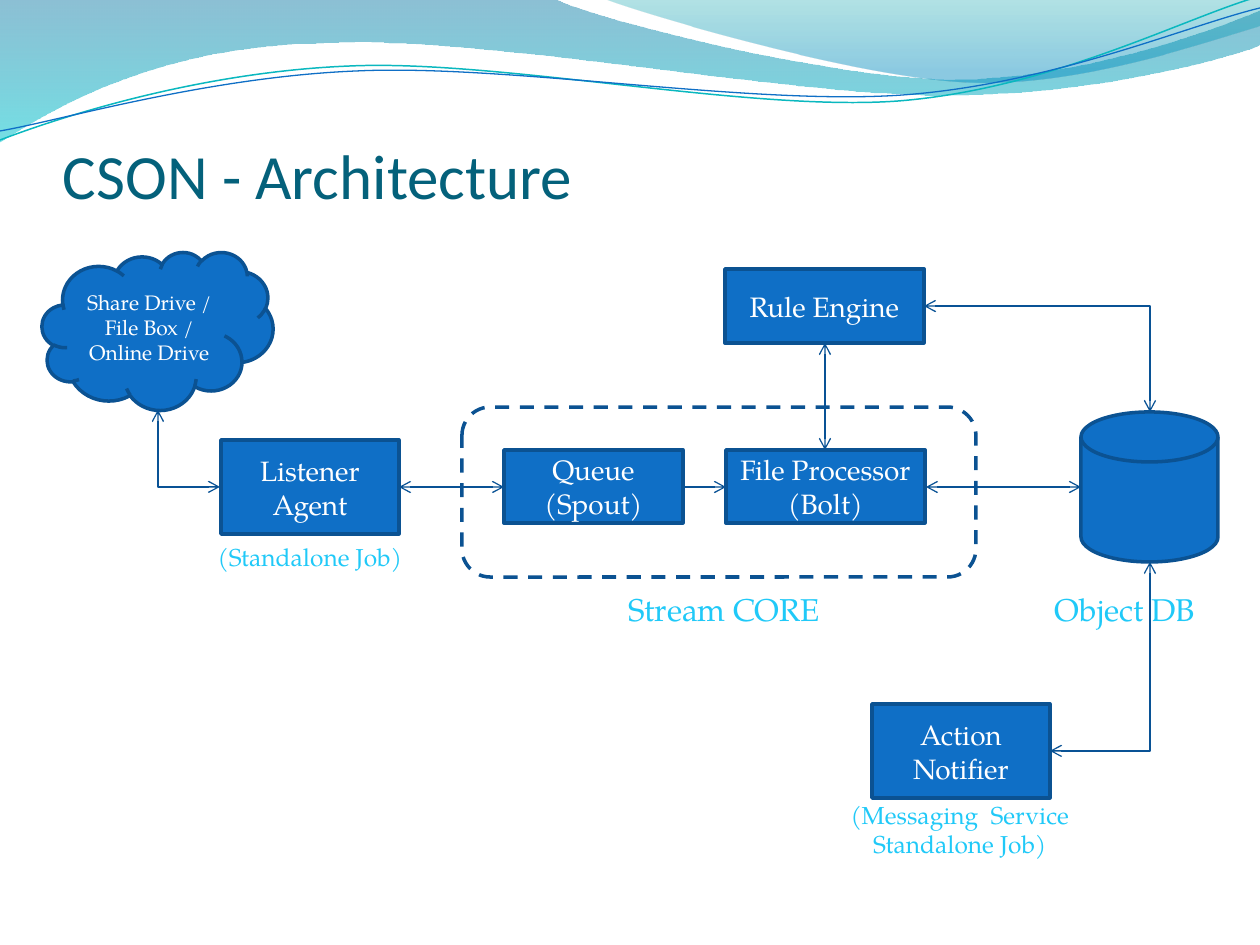
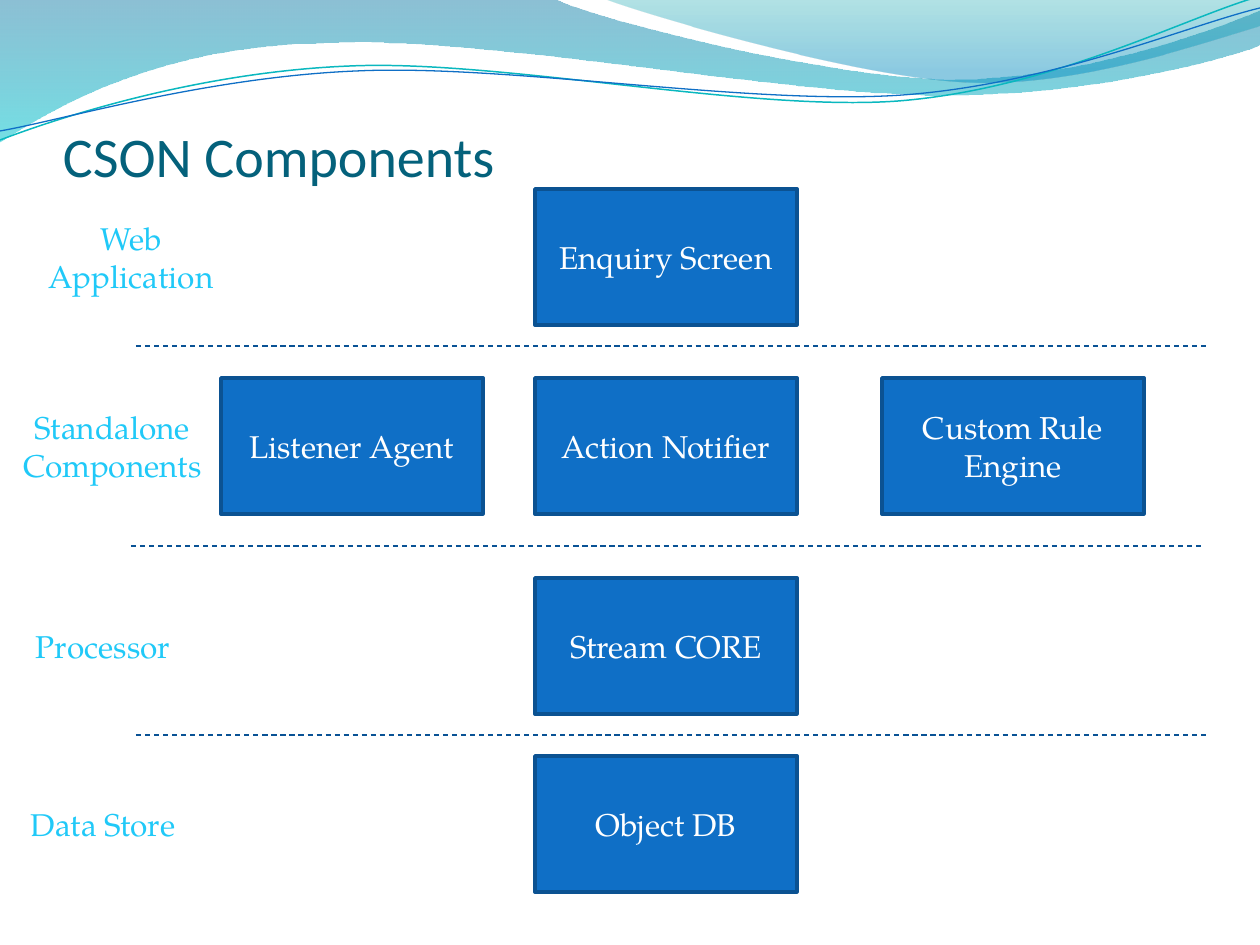
import lxml.etree
import pptx
import pptx.dml.color
import pptx.enum.dml
import pptx.enum.shapes
import pptx.enum.text
import pptx.oxml.ns
import pptx.util

# Shared scale, colours and fonts
EMU_PER_PX = 914400 / 126
SLIDE_W, SLIDE_H = 1260, 945
COLORS = {
    "fill": "0F6FC6", "edge": "0B5292", "link": "095295",
    "title": "04617B", "label": "20C9F8", "white": "FFFFFF",
    "deep": "0074A1", "aqua": "00C6CF", "teal": "00A1A9",
    "sky": "008BBF", "curve": "0AB8BF",
}
TITLE_FONT, BODY_FONT = "Calibri", "TeX Gyre Pagella"
SHAPE = pptx.enum.shapes.MSO_SHAPE
CONNECTOR = pptx.enum.shapes.MSO_CONNECTOR
ANCHOR = pptx.enum.text.MSO_ANCHOR
ALIGN = pptx.enum.text.PP_ALIGN
DASH = pptx.enum.dml.MSO_LINE.DASH
qn = pptx.oxml.ns.qn

# Header waves: a start point, then lines (1 point) and Bezier curves (3 points)
WAVE_BANDS = [
    ([[(0, 0)], [(554, -1)],
      [(600, 21), (837, 79), (955, 79)], [(1075, 79), (1207, 33), (1260, 11)],
      [(1261, 45)],
      [(1239, 55), (1096, 96), (940, 95)], [(781, 95), (481, 35), (324, 43)],
      [(163, 45), (58, 105), (-1, 142)], [(0, 0)]],
     [(0, "deep", 45), (1, "aqua", 55)]),
    ([[(604, -1)],
      [(641, 14), (859, 78), (969, 82)], [(1079, 87), (1211, 40), (1260, 26)],
      [(1260, 0)], [(604, -1)]],
     [(0, "teal", 30), (0.8, "sky", 45)]),
]
WAVE_LINES = [
    ([[(0, 140)],
      [(60, 117), (199, 72), (349, 66)], [(498, 59), (747, 112), (898, 101)],
      [(1050, 89), (1182, 19), (1257, -3)]], "curve", 0.85),
    ([[(0, 131)],
      [(59, 121), (207, 77), (357, 71)], [(508, 64), (752, 106), (903, 95)],
      [(1053, 84), (1186, 26), (1260, 8)]], "fill", 0.75),
]


def px(n):
    return pptx.util.Emu(round(n * EMU_PER_PX))


def rgb(name):
    return pptx.dml.color.RGBColor.from_string(COLORS[name])


def set_attrs(obj, values):
    for name, value in values.items():
        setattr(obj, name, value)


def set_line(line, color, width, dash=None):
    line.color.rgb = rgb(color)
    set_attrs(line, {"width": pptx.util.Pt(width), "dash_style": dash})


def write(sp, text, size, color, font=BODY_FONT, align=ALIGN.CENTER, **frame):
    """Fill a shape with text, one paragraph per line."""
    tf = sp.text_frame
    set_attrs(tf, {"word_wrap": True, "vertical_anchor": ANCHOR.MIDDLE, **frame})
    for i, line in enumerate(text.split("\n")):
        p = tf.add_paragraph() if i else tf.paragraphs[0]
        p.alignment = align
        r = p.add_run()
        r.text = line
        set_attrs(r.font, {"name": font, "size": pptx.util.Pt(size)})
        r.font.color.rgb = rgb(color)


def add_label(s, x, y, w, h, text, size=18, color="label", **style):
    sp = s.shapes.add_textbox(px(x), px(y), px(w), px(h))
    write(sp, text, size, color, **style)


def add_title(s, y, h, text, size):
    add_label(s, 63, y, 1134, h, text, size, "title", font=TITLE_FONT,
              align=ALIGN.LEFT, vertical_anchor=ANCHOR.BOTTOM,
              margin_left=0, margin_right=0, margin_bottom=0)


def add_node(s, x, y, w, h, text="", size=16, kind=SHAPE.RECTANGLE):
    sp = s.shapes.add_shape(kind, px(x), px(y), px(w), px(h))
    sp.shadow.inherit = False
    sp.fill.solid()
    sp.fill.fore_color.rgb = rgb("fill")
    set_line(sp.line, "edge", 2)
    if text:
        write(sp, text, size, "white")
    return sp


def add_link(s, start, end, heads=("headEnd", "tailEnd"), bent=False, dash=None):
    """Join two points; a bent link runs across first, then up or down."""
    kind = CONNECTOR.ELBOW if bent else CONNECTOR.STRAIGHT
    c = s.shapes.add_connector(kind, *map(px, start + end))
    set_line(c.line, "link", 0.75, dash)
    props = c._element.spPr
    if bent:
        props.find(qn("a:prstGeom")).set("prst", "bentConnector2")
    for head in heads:
        lxml.etree.SubElement(props.find(qn("a:ln")), qn("a:" + head), type="arrow")
    lxml.etree.SubElement(props, qn("a:effectLst"))


def add_outline(s, segments, close):
    """Draw a freeform, merging each run of three points into one curve."""
    points = [(px(x), px(y)) for seg in segments for x, y in seg]
    fb = s.shapes.build_freeform(*points[0])
    fb.add_line_segments(points[1:], close=close)
    sp = fb.convert_to_shape()
    sp.shadow.inherit = False
    steps = iter(list(sp._element.spPr.iter(qn("a:lnTo"))))
    for seg in segments[1:]:
        first, *rest = [next(steps) for _ in seg]
        if rest:
            curve = lxml.etree.Element(qn("a:cubicBezTo"))
            first.addprevious(curve)
            for step in (first, *rest):
                curve.append(step[0])
                step.getparent().remove(step)
    return sp


def add_waves(s):
    for segments, stops in WAVE_BANDS:
        sp = add_outline(s, segments, True)
        sp.line.fill.background()
        sp.fill.gradient()
        sp.fill.gradient_angle = 270
        for stop, (position, color, _) in zip(sp.fill.gradient_stops, stops):
            stop.position = position
            stop.color.rgb = rgb(color)
        colors = sp._element.spPr.iter(qn("a:srgbClr"))
        for clr, (_, _, opacity) in zip(list(colors), stops):
            lxml.etree.SubElement(clr, qn("a:alpha"), val=str(opacity * 1000))
    for segments, color, width in WAVE_LINES:
        sp = add_outline(s, segments, False)
        sp.fill.background()
        set_line(sp.line, color, width)


def add_slide(prs):
    s = prs.slides.add_slide(prs.slide_layouts[6])
    add_waves(s)
    return s


def build_architecture(prs):
    s = add_slide(prs)
    add_title(s, 115, 97, "CSON - Architecture", 36)

    # Nodes
    add_node(s, 42, 252, 231, 158, "Share Drive / File Box / Online Drive", 12, SHAPE.CLOUD)
    add_node(s, 221, 440, 178, 94, "Listener Agent")
    add_node(s, 504, 450, 179, 73, "Queue\n(Spout)")
    add_node(s, 726, 450, 199, 73, "File Processor\n(Bolt)")
    add_node(s, 725, 269, 199, 74, "Rule Engine")
    add_node(s, 872, 704, 178, 94, "Action Notifier")
    add_node(s, 1081, 412, 137, 150, kind=SHAPE.FLOWCHART_MAGNETIC_DISK)

    # Stream cluster frame
    frame = add_node(s, 462, 407, 514, 170, kind=SHAPE.ROUNDED_RECTANGLE)
    frame.fill.background()
    frame.line.dash_style = DASH

    # Captions
    add_label(s, 577, 577, 294, 63, "Stream CORE")
    add_label(s, 1020, 577, 210, 63, "Object DB")
    add_label(s, 179, 525, 262, 63, "(Standalone Job)", 14)
    add_label(s, 833, 798, 254, 63, "(Messaging  Service Standalone Job)", 14)

    # Links
    add_link(s, (399, 487), (504, 487))
    add_link(s, (683, 487), (726, 487), heads=("tailEnd",))
    add_link(s, (926, 487), (1081, 487))
    add_link(s, (825, 450), (825, 343))
    for start, end in [((220, 487), (158, 410)),
                       ((1050, 751), (1150, 562)),
                       ((924, 306), (1150, 412))]:
        add_link(s, start, end, bent=True)


def build_components(prs):
    s = add_slide(prs)
    add_title(s, 32, 157, "CSON Components", 32)

    # Layers: top, caption left and width, caption, boxes by left edge
    left, middle, right = 221, 535, 882
    layers = [
        (189, 21, 220, "Web Application", {middle: "Enquiry Screen"}),
        (378, 5, 215, "Standalone\nComponents",
         {left: "Listener Agent", middle: "Action Notifier", right: "Custom Rule Engine"}),
        (578, 6, 194, "Processor", {middle: "Stream CORE"}),
        (756, 6, 194, "Data Store", {middle: "Object DB"}),
    ]
    for y, x, w, caption, boxes in layers:
        add_label(s, x, y, w, 136, caption)
        for box_x, text in boxes.items():
            add_node(s, box_x, y, 262, 136, text, 18)

    # Separators
    for x, y in [(136, 346), (131, 546), (136, 735)]:
        add_link(s, (x, y), (x + 1071, y), heads=(), dash=DASH)


def main():
    prs = pptx.Presentation()
    set_attrs(prs, {"slide_width": px(SLIDE_W), "slide_height": px(SLIDE_H)})
    build_architecture(prs)
    build_components(prs)
    prs.save("out.pptx")


if __name__ == "__main__":
    main()
